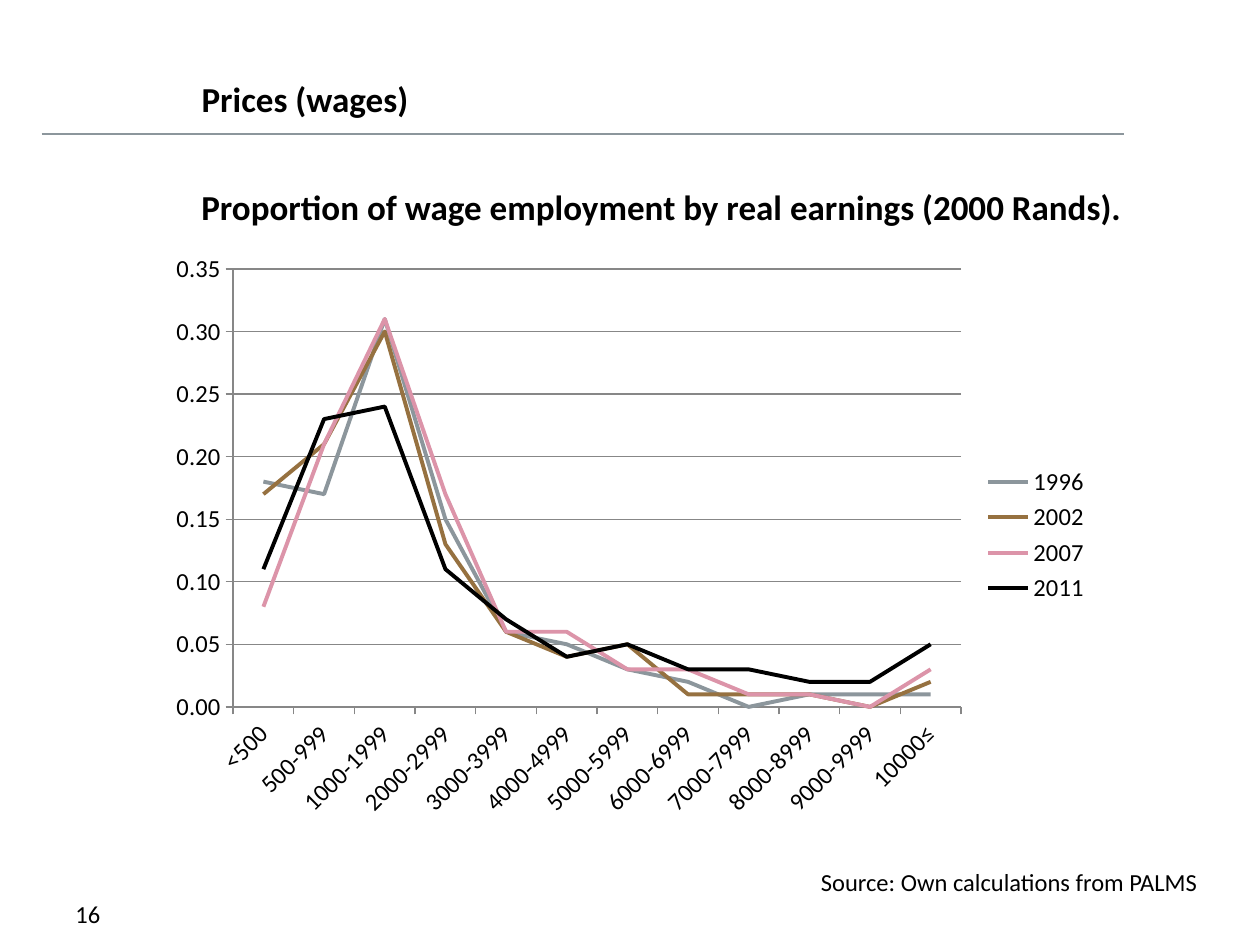
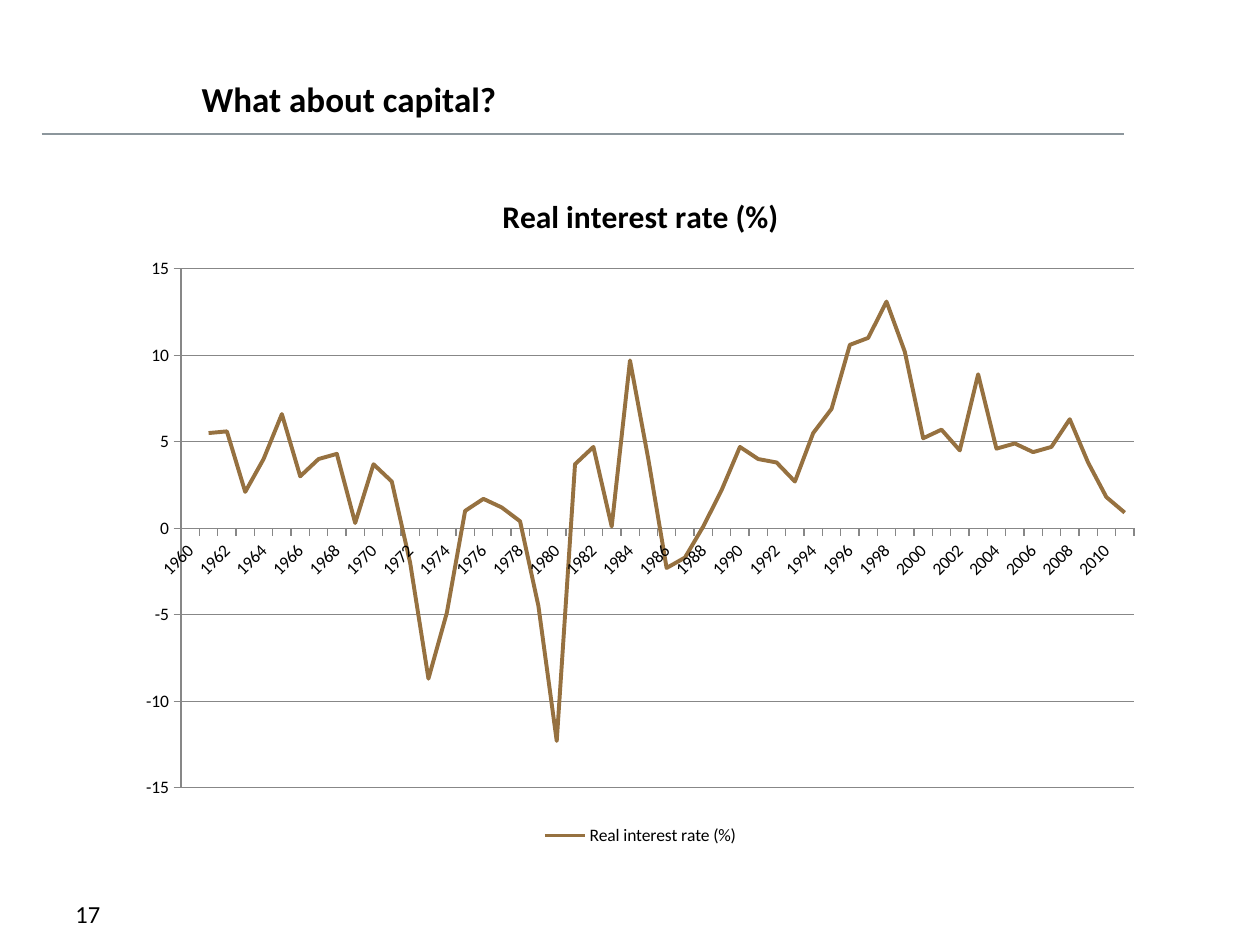
from lxml import etree
from pptx import Presentation
from pptx.chart.data import CategoryChartData
from pptx.dml.color import RGBColor
from pptx.enum.chart import (XL_CHART_TYPE, XL_LEGEND_POSITION,
                             XL_MARKER_STYLE, XL_TICK_MARK)
from pptx.enum.shapes import MSO_CONNECTOR
from pptx.enum.text import MSO_ANCHOR, PP_ALIGN
from pptx.oxml.ns import qn
from pptx.util import Pt

LINE = XL_CHART_TYPE.LINE
STRAIGHT = MSO_CONNECTOR.STRAIGHT
RIGHT, BOTTOM = XL_LEGEND_POSITION.RIGHT, XL_LEGEND_POSITION.BOTTOM
BARE = XL_MARKER_STYLE.NONE
OUT = XL_TICK_MARK.OUTSIDE
LOW, LEFT = MSO_ANCHOR.BOTTOM, PP_ALIGN.LEFT

BLACK = RGBColor(0x00, 0x00, 0x00)
GRAY = RGBColor(0x8C, 0x96, 0x9C)
BROWN = RGBColor(0x96, 0x71, 0x40)
PINK = RGBColor(0xDC, 0x94, 0xA9)
GRID = RGBColor(0x87, 0x87, 0x87)

BODY = {"name": "Calibri", "size": Pt(14), "bold": False}
HEAD = {"name": "Calibri", "size": Pt(20), "bold": True}
SMALL = {"name": "Calibri", "size": Pt(10), "bold": False}
NAMED = {"name": "Calibri", "size": Pt(18), "bold": True}

BANDS = ["<500", "500-999"]
BANDS += [f"{low}-{low + 999}" for low in range(1000, 10000, 1000)]
BANDS += ["10000≤"]
WAGES = {
    "1996": [0.18, 0.17, 0.31, 0.15, 0.06, 0.05,
             0.03, 0.02, 0, 0.01, 0.01, 0.01],
    "2002": [0.17, 0.21, 0.3, 0.13, 0.06, 0.04,
             0.05, 0.01, 0.01, 0.01, 0, 0.02],
    "2007": [0.08, 0.21, 0.31, 0.17, 0.06, 0.06,
             0.03, 0.03, 0.01, 0.01, 0, 0.03],
    "2011": [0.11, 0.23, 0.24, 0.11, 0.07, 0.04,
             0.05, 0.03, 0.03, 0.02, 0.02, 0.05],
}
YEARS = [str(year) for year in range(1960, 2012)]
RATE = "Real interest rate (%)"
RATES = [
    None, 5.5, 5.6, 2.1, 4, 6.6, 3, 4, 4.3, 0.3,
    3.7, 2.7, -2, -8.7, -4.9, 1, 1.7, 1.2, 0.4, -4.5,
    -12.3, 3.7, 4.7, 0.1, 9.7, 4, -2.3, -1.7, 0.1, 2.2,
    4.7, 4, 3.8, 2.7, 5.5, 6.9, 10.6, 11, 13.1, 10.2,
    5.2, 5.7, 4.5, 8.9, 4.6, 4.9, 4.4, 4.7, 6.3, 3.8,
    1.8, 0.9,
]


def points(*sizes):
    return [Pt(size) for size in sizes]


def style(font, look):
    for key, value in look.items():
        setattr(font, key, value)
    font.color.rgb = BLACK


def add_text(slide, text, box, look=BODY):
    frame = slide.shapes.add_textbox(*points(*box)).text_frame
    frame.word_wrap = True
    para = frame.paragraphs[0]
    para.text = text
    style(para.runs[0].font, look)


def add_rule(slide):
    ends = points(23.75, 76.5, 642.25, 76.5)
    rule = slide.shapes.add_connector(STRAIGHT, *ends)
    rule.line.color.rgb = GRAY
    rule.line.width = Pt(1)
    etree.SubElement(rule.element.spPr, qn("a:effectLst"))


def add_slide(deck, title, number):
    """Add a slide with its title, rule and page number."""
    slide = deck.slides.add_slide(deck.slide_layouts[5])
    add_rule(slide)
    add_text(slide, str(number), (36, 510, 150, 36))
    head = slide.shapes.title
    head.left, head.top, head.width, head.height = points(108, 36, 528, 36)
    head.text = title
    head.text_frame.vertical_anchor = LOW
    para = head.text_frame.paragraphs[0]
    para.alignment = LEFT
    style(para.runs[0].font, HEAD)
    return slide


def place_plot(chart, box, area):
    """Fix the inner plot area; both boxes are in slide points."""
    left, top, width, height = box
    x, y, wide, high = area
    shares = ((x - left) / width, (y - top) / height,
              wide / width, high / height)
    plot = chart.element.find(".//" + qn("c:plotArea"))
    for old in plot.findall(qn("c:layout")):
        plot.remove(old)
    layout = etree.Element(qn("c:layout"))
    manual = etree.SubElement(layout, qn("c:manualLayout"))
    parts = [("layoutTarget", "inner"), ("xMode", "edge"), ("yMode", "edge")]
    for tag, value in parts + list(zip("xywh", shares)):
        etree.SubElement(manual, qn("c:" + tag)).set("val", str(value))
    plot.insert(0, layout)


def tilt_labels(chart):
    body = chart.element.find(
        "/".join([".//" + qn("c:catAx"), qn("c:txPr"), qn("a:bodyPr")]))
    body.set("rot", "-2700000")
    body.set("vert", "horz")


def set_axes(chart, scale, look):
    values = chart.value_axis
    low, high, step, form = scale
    values.minimum_scale, values.maximum_scale = low, high
    values.major_unit = step
    values.has_major_gridlines = True
    values.major_gridlines.format.line.color.rgb = GRID
    values.tick_labels.number_format = form
    values.tick_labels.number_format_is_linked = False
    for axis in (chart.category_axis, values):
        axis.major_tick_mark = OUT
        axis.format.line.color.rgb = GRID
        style(axis.tick_labels.font, look)
    tilt_labels(chart)


def add_lines(slide, box, cats, series, colors, scale, area, side, look,
              title=None):
    """Add a line chart; scale is low, high, step and number format."""
    data = CategoryChartData()
    data.categories = cats
    for name, values in series.items():
        data.add_series(name, values)
    chart = slide.shapes.add_chart(LINE, *points(*box), data).chart
    style(chart.font, SMALL)
    chart.has_title = title is not None
    if title:
        frame = chart.chart_title.text_frame
        frame.text = title
        style(frame.paragraphs[0].runs[0].font, NAMED)
    chart.has_legend = True
    chart.legend.position = side
    chart.legend.include_in_layout = False
    style(chart.legend.font, look)
    set_axes(chart, scale, look)
    place_plot(chart, box, area)
    plot = chart.plots[0]
    plot.vary_by_categories = False
    for line, color in zip(plot.series, colors):
        line.smooth = False
        line.marker.style = BARE
        line.format.line.color.rgb = color
        line.format.line.width = Pt(2.25)


def main():
    deck = Presentation()
    deck.slide_width, deck.slide_height = points(720, 540)

    wages = add_slide(deck, "Prices (wages)", 16)
    add_text(wages, "Source: Own calculations from PALMS",
             (462, 492, 234, 24.5))
    add_text(wages,
             "Proportion of wage employment by real earnings (2000 Rands).",
             (108, 102.4, 546, 31.5), HEAD)
    add_lines(wages, (90, 138, 540, 335.5), BANDS, WAGES,
              (GRAY, BROWN, PINK, BLACK), (0, 0.35, 0.05, "0.00"),
              (133.2, 153.7, 416, 250.3), RIGHT, BODY)

    capital = add_slide(deck, "What about capital?", 17)
    add_lines(capital, (72, 96, 588, 390), YEARS, {RATE: RATES},
              (BROWN,), (-15, 15, 5, "General"),
              (103.5, 153.6, 544.5, 296.6), BOTTOM, SMALL, RATE)
    deck.save("out.pptx")


if __name__ == "__main__":
    main()
